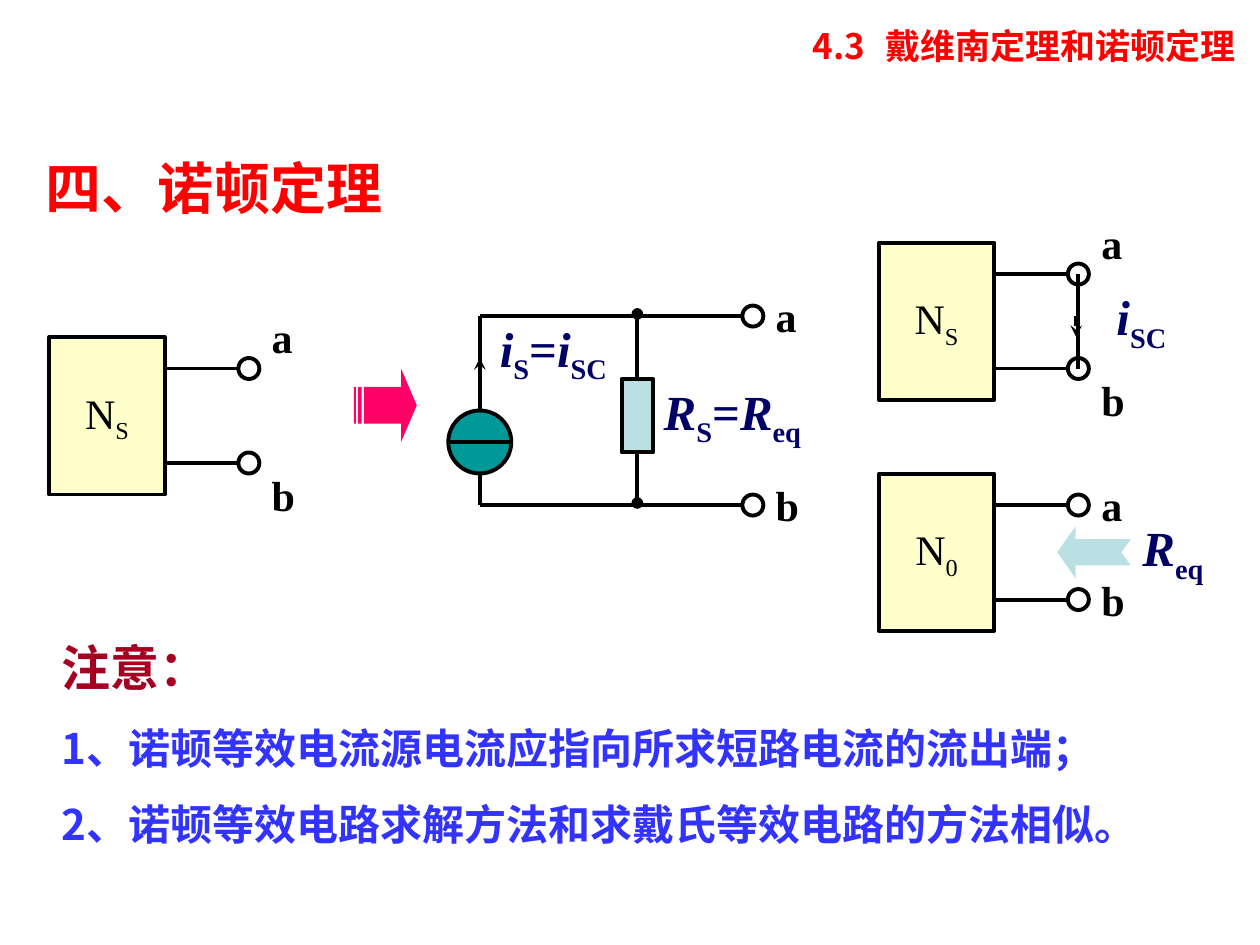
import pptx
import pptx.dml.color
import pptx.enum.shapes
import pptx.enum.text
import pptx.oxml.ns
import pptx.util
from lxml import etree

COLUMNS, ROWS = 120, 90
CELL = 76200  # a twelfth of an inch
LATIN, CHINESE = "Times New Roman", "Noto Sans CJK SC"
BLACK, WHITE, RED, NAVY = "000000", "FFFFFF", "FF0000", "000066"
CREAM, PALE, TEAL, PINK = "FFFFCC", "BBE0E3", "009999", "FF0066"
SHAPE = pptx.enum.shapes.MSO_SHAPE
ALIGN = pptx.enum.text.PP_ALIGN
ANCHOR = pptx.enum.text.MSO_ANCHOR


def cells(*counts):
    """Turn grid counts into lengths."""
    return [pptx.util.Emu(round(count * CELL)) for count in counts]


def color(value):
    return pptx.dml.color.RGBColor.from_string(value)


def add_child(parent, tag, **attributes):
    child = etree.SubElement(parent, pptx.oxml.ns.qn(tag))
    for name, value in attributes.items():
        child.set(name, value)


def add_run(paragraph, text, size, fill, font=LATIN, bold=True, style=""):
    """Style is "italic", "sub" or empty."""
    run = paragraph.add_run()
    run.text = text
    run.font.size = pptx.util.Pt(size)
    run.font.bold = bold
    run.font.italic = style == "italic"
    run.font.color.rgb = color(fill)
    run.font.name = font
    properties = run.font._element
    add_child(properties, "a:ea", typeface=CHINESE)
    if style == "sub":
        properties.set("baseline", "-25000")
    return run


def add_text_box(slide, left, top, width, height, anchor=ANCHOR.TOP, wrap=True):
    frame = slide.shapes.add_textbox(*cells(left, top, width, height)).text_frame
    frame.word_wrap = wrap
    frame.vertical_anchor = anchor
    return frame


def add_symbol(slide, left, top, width, height, parts, wrap=True):
    """Write a quantity whose parts are (text, style) pairs."""
    frame = add_text_box(slide, left, top, width, height, ANCHOR.MIDDLE, wrap)
    paragraph = frame.paragraphs[0]
    paragraph.alignment = ALIGN.CENTER
    for text, style in parts:
        add_run(paragraph, text, 28, NAVY, style=style)


def add_label(slide, left, top, text):
    frame = add_text_box(slide, left, top, 9, 6)
    add_run(frame.paragraphs[0], text, 24, BLACK)


def add_body(slide, kind, left, top, width, height, fill):
    shape = slide.shapes.add_shape(kind, *cells(left, top, width, height))
    shape.shadow.inherit = False
    shape.fill.solid()
    shape.fill.fore_color.rgb = color(fill)
    shape.line.color.rgb = color(BLACK)
    shape.line.width = pptx.util.Pt(2.25)
    return shape


def add_terminal(slide, left, middle):
    add_body(slide, SHAPE.OVAL, left, middle - 1, 2, 2, WHITE)


def add_wire(slide, x1, y1, x2, y2, head=None, tail=None):
    wire = slide.shapes.add_connector(
        pptx.enum.shapes.MSO_CONNECTOR.STRAIGHT, *cells(x1, y1, x2, y2))
    wire.line.color.rgb = color(BLACK)
    wire.line.width = pptx.util.Pt(2.25)
    line = wire.line._get_or_add_ln()
    for tag, end in (("a:headEnd", head), ("a:tailEnd", tail)):
        if end:
            add_child(line, tag, type=end)
    add_child(wire._element.spPr, "a:effectLst")


def add_block_arrow(slide, left, top, contours, fill):
    """Draw closed contours, given relative to left and top."""
    placed = [[cells(left + x, top + y) for x, y in contour] for contour in contours]
    builder = slide.shapes.build_freeform(*placed[0][0])
    for index, (start, *others) in enumerate(placed):
        if index:
            builder.move_to(*start)
        builder.add_line_segments(others, close=True)
    arrow = builder.convert_to_shape()
    arrow.shadow.inherit = False
    arrow.fill.solid()
    arrow.fill.fore_color.rgb = color(fill)
    arrow.line.fill.background()


def add_network(slide, left, top, subscript, label_rows):
    """Draw a two-terminal network box with its wires and labels."""
    box = add_body(slide, SHAPE.RECTANGLE, left, top, 11, 15, CREAM)
    frame = box.text_frame
    frame.word_wrap = False
    frame.vertical_anchor = ANCHOR.MIDDLE
    paragraph = frame.paragraphs[0]
    paragraph.alignment = ALIGN.CENTER
    add_run(paragraph, "N", 24, BLACK, bold=False)
    add_run(paragraph, subscript, 24, BLACK, bold=False, style="sub")
    for name, wire_row, label_row in zip("ab", (3, 12), label_rows):
        add_wire(slide, left + 11, top + wire_row, left + 18, top + wire_row)
        add_terminal(slide, left + 18, top + wire_row)
        add_label(slide, left + 20, top + label_row, name)


def add_short_circuit(slide, left, top):
    add_network(slide, left, top, "S", (-3, 12))
    add_wire(slide, left + 19, top + 3, left + 19, top + 12)
    add_wire(slide, left + 18.8, top + 7, left + 18.8, top + 9, tail="stealth")
    add_symbol(slide, left + 20, top + 3.6, 10, 7.6, [("i", "italic"), ("SC", "sub")])


def add_dead_network(slide, left, top):
    add_network(slide, left, top, "0", (0, 9))
    contour = [(7, 1.25), (1.75, 1.25), (1.75, 0), (0, 2.5),
               (1.75, 5), (1.75, 3.75), (7, 3.75), (6.1, 2.5)]
    add_block_arrow(slide, left + 17, top + 5, [contour], PALE)
    add_symbol(slide, left + 23, top + 3.6, 10, 7.6, [("R", "italic"), ("eq", "sub")])


def add_norton_circuit(slide, left, top):
    """Draw the current source and resistor between terminals a and b."""
    for name, row in (("a", top), ("b", top + 18)):
        add_wire(slide, left, row, left + 25, row)
        add_terminal(slide, left + 25, row)
        add_label(slide, left + 27, row - 3, name)
    add_wire(slide, left, top, left, top + 18)
    add_wire(slide, left + 15, top - 0.2, left + 15, top + 17.8, "oval", "oval")
    add_body(slide, SHAPE.OVAL, left - 3, top + 9, 6, 6, TEAL)
    add_wire(slide, left + 3, top + 12, left - 3, top + 12)
    add_wire(slide, left, top + 9, left, top + 4, tail="stealth")
    add_body(slide, SHAPE.RECTANGLE, left + 13.5, top + 6, 3, 7, PALE)
    add_symbol(slide, left - 4, top - 0.4, 22, 7.6,
               [("i", "italic"), ("S", "sub"), ("=", ""), ("i", "italic"), ("SC", "sub")])
    add_symbol(slide, left + 16.3, top + 5.6, 15.5, 7.6,
               [("R", "italic"), ("S", "sub"), ("=", ""), ("R", "italic"), ("eq", "sub")],
               wrap=False)


def add_headings(slide):
    title = add_text_box(slide, 3.2, 12.8, 38.3, 10, ANCHOR.MIDDLE)
    add_run(title.paragraphs[0], "四、诺顿定理", 32, RED, CHINESE)
    section = add_text_box(slide, 16.9, 1.7, 102, 6.6).paragraphs[0]
    section.alignment = ALIGN.RIGHT
    add_run(section, "4.3", 20, RED, CHINESE)
    gap = add_run(section, " ", 20, RED, CHINESE)
    gap.font._element.set("spc", "700")
    add_run(section, "戴维南定理和诺顿定理", 20, RED, CHINESE)


def add_notice(slide):
    frame = add_text_box(slide, 4.7, 60.1, 114, 21.5)
    add_run(frame.paragraphs[0], "注意：", 28, "A50021")
    for text in ("1、诺顿等效电流源电流应指向所求短路电流的流出端；",
                 "2、诺顿等效电路求解方法和求戴氏等效电路的方法相似。"):
        paragraph = frame.add_paragraph()
        paragraph.space_before = pptx.util.Pt(15)
        add_run(paragraph, text, 24, "3333FF", CHINESE)


def main():
    presentation = pptx.Presentation()
    presentation.slide_width, presentation.slide_height = cells(COLUMNS, ROWS)
    slide = presentation.slides.add_slide(presentation.slide_layouts[6])
    add_headings(slide)
    add_dead_network(slide, 83.7, 45.1)
    add_short_circuit(slide, 83.7, 23.1)
    add_norton_circuit(slide, 45.7, 30.1)
    add_network(slide, 4.7, 32.1, "S", (-3, 12))
    head = [(0.95, 1.75), (4.5, 1.75), (4.5, 0), (6, 3.5),
            (4.5, 7), (4.5, 5.25), (0.95, 5.25)]
    stripes = [[(x1, 1.75), (x2, 1.75), (x2, 5.25), (x1, 5.25)]
               for x1, x2 in ((0, 0.19), (0.38, 0.75))]
    add_block_arrow(slide, 33.7, 35.1, [head, *stripes], PINK)
    add_notice(slide)
    presentation.save("out.pptx")


if __name__ == "__main__":
    main()
